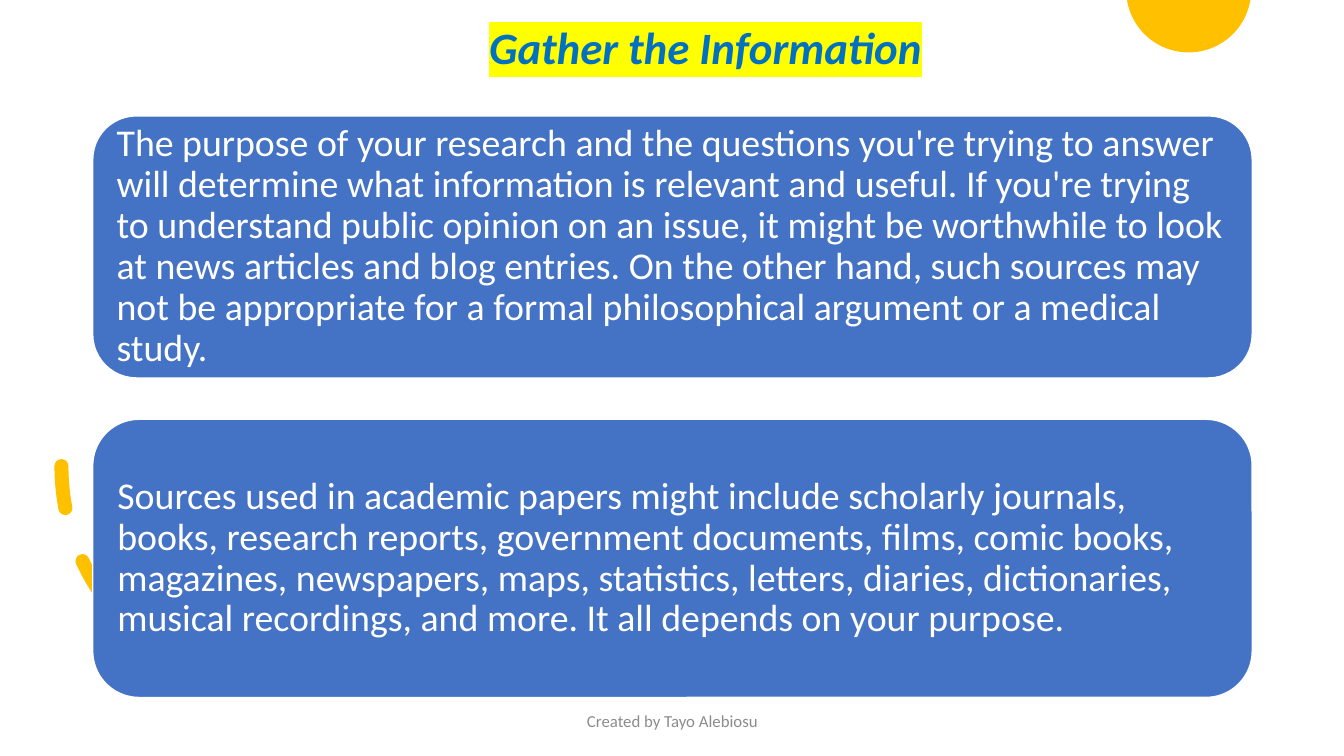
from math import cos, radians, sin, sqrt

from lxml.etree import SubElement
from pptx import Presentation
from pptx.dml.color import RGBColor
from pptx.enum.dml import MSO_LINE
from pptx.enum.shapes import MSO_SHAPE
from pptx.enum.text import MSO_ANCHOR, MSO_AUTO_SIZE, PP_ALIGN
from pptx.oxml.ns import qn
from pptx.util import Inches, Pt

TITLE = "Gather the Information"
FOOTER = "Created by Tayo Alebiosu"
CARDS = [
    (1.15, 2.6, "The purpose of your research and the questions you're trying to answer "
     "will determine what information is relevant and useful. If you're trying to "
     "understand public opinion on an issue, it might be worthwhile to look at news "
     "articles and blog entries. On the other hand, such sources may not be appropriate "
     "for a formal philosophical argument or a medical study."),
    (4.16, 2.76, "Sources used in academic papers might include scholarly journals, books, "
     "research reports, government documents, films, comic books, magazines, newspapers, "
     "maps, statistics, letters, diaries, dictionaries, musical recordings, and more. "
     "It all depends on your purpose."),
]
CARD_LEFT, CARD_WIDTH, CARD_INSET = 0.92, 11.5, 0.11
SUN_X, SUN_Y, SUN_RADIUS = 11.79, -0.1, 0.62
GOLD, BLUE, WHITE = "FFC000", "4472C4", "FFFFFF"


def color(hex_code):
    return RGBColor.from_string(hex_code)


def box(*lengths):
    return [Inches(v) for v in lengths]


def fill(sp, hex_code):
    sp.shadow.inherit = False
    sp.fill.solid()
    sp.fill.fore_color.rgb = color(hex_code)


def style(font, size, hex_code):
    font.size = Pt(size)
    font.color.rgb = color(hex_code)
    font.name = "Calibri"


def add_sun(slide):
    half = sqrt(SUN_RADIUS ** 2 - SUN_Y ** 2)
    arc = [(SUN_X + SUN_RADIUS * cos(radians(a)), SUN_Y + SUN_RADIUS * sin(radians(a)))
           for a in range(12, 169, 3)]
    points = [(SUN_X + half, 0), *arc, (SUN_X - half, 0)]
    builder = slide.shapes.build_freeform(*box(*points[0]))
    builder.add_line_segments([box(*pt) for pt in points[1:]], close=True)
    sp = builder.convert_to_shape()
    fill(sp, GOLD)
    sp.line.fill.background()


def add_dashed_arc(slide):
    sp = slide.shapes.add_shape(MSO_SHAPE.ARC, *box(0.61, 2.39, 4.47, 4.47))
    sp.shadow.inherit = False
    sp.fill.background()
    sp.rotation = 90
    sp._element.spPr.find(qn("a:xfrm")).set("flipV", "1")
    sp.line.color.rgb = color(GOLD)
    sp.line.width = Pt(10)
    sp.line.dash_style = MSO_LINE.DASH
    sp._element.spPr.find(qn("a:ln")).set("cap", "rnd")


def add_card(slide, top, height, text):
    sp = slide.shapes.add_shape(MSO_SHAPE.ROUNDED_RECTANGLE,
                                *box(CARD_LEFT, top, CARD_WIDTH, height))
    fill(sp, BLUE)
    sp.line.color.rgb = color(WHITE)
    sp.line.width = Pt(1)
    tf = sp.text_frame
    tf.word_wrap = True
    tf.vertical_anchor = MSO_ANCHOR.MIDDLE
    tf.margin_left = tf.margin_right = tf.margin_top = tf.margin_bottom = Inches(CARD_INSET)
    p = tf.paragraphs[0]
    p.text = text
    p.alignment = PP_ALIGN.LEFT
    p.line_spacing = 0.9
    style(p.font, 27, WHITE)


def set_title(slide):
    sp = slide.shapes.title
    sp.left, sp.top, sp.width, sp.height = box(4.75, 0.15, 4.91, 0.64)
    tf = sp.text_frame
    tf.word_wrap = True
    tf.auto_size = MSO_AUTO_SIZE.SHAPE_TO_FIT_TEXT
    tf.vertical_anchor = MSO_ANCHOR.TOP
    p = tf.paragraphs[0]
    p.alignment = PP_ALIGN.LEFT
    r = p.add_run()
    r.text = TITLE
    r.font.bold = r.font.italic = True
    r.font.color.rgb = color("0070C0")
    highlight = SubElement(r.font._element, qn("a:highlight"))
    SubElement(highlight, qn("a:srgbClr")).set("val", "FFFF00")
    style(r.font, 32, "0070C0")


def add_footer(slide):
    tf = slide.shapes.add_textbox(*box(4.42, 6.95, 4.5, 0.4)).text_frame
    tf.word_wrap = True
    tf.vertical_anchor = MSO_ANCHOR.MIDDLE
    p = tf.paragraphs[0]
    p.text = FOOTER
    p.alignment = PP_ALIGN.CENTER
    style(p.font, 12, "8C8C8C")


def main():
    prs = Presentation()
    prs.slide_width, prs.slide_height = box(13.33, 7.5)
    slide = prs.slides.add_slide(prs.slide_layouts[5])
    add_sun(slide)
    add_dashed_arc(slide)
    for card in CARDS:
        add_card(slide, *card)
    set_title(slide)
    add_footer(slide)
    prs.save("out.pptx")


if __name__ == "__main__":
    main()
